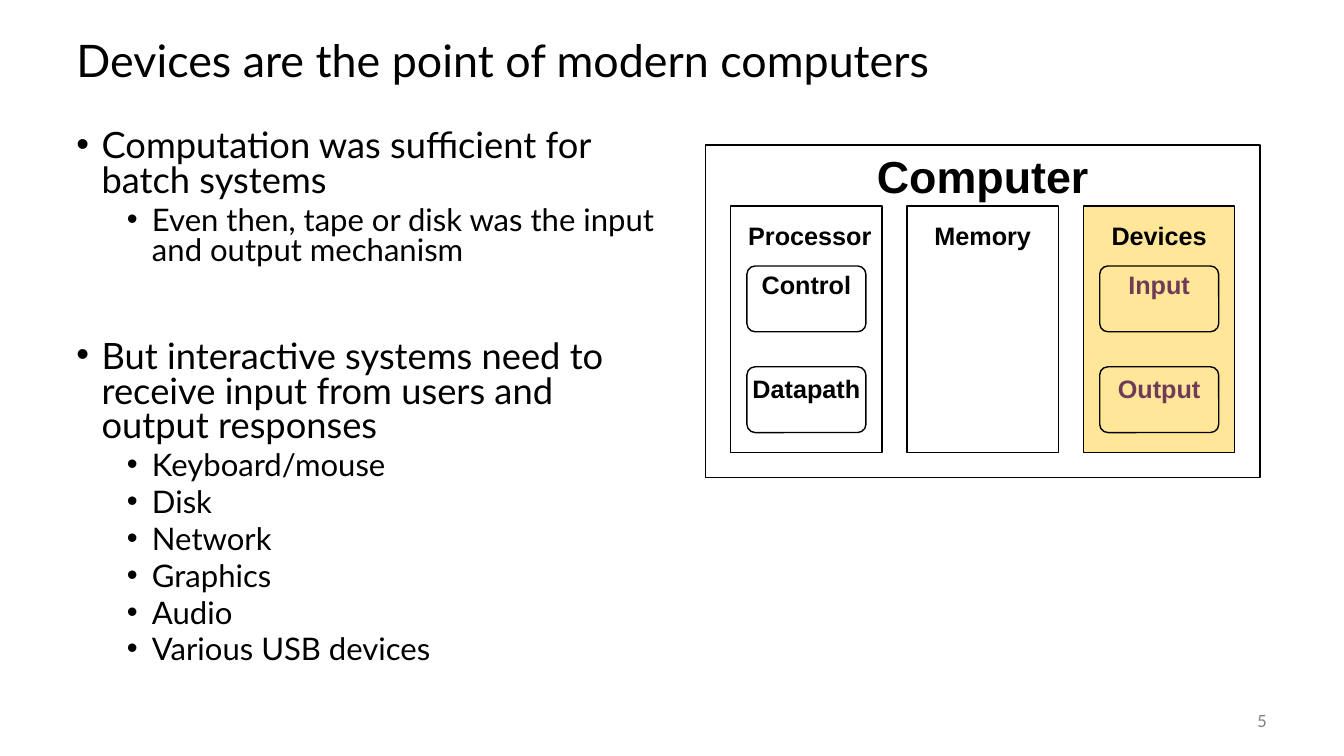
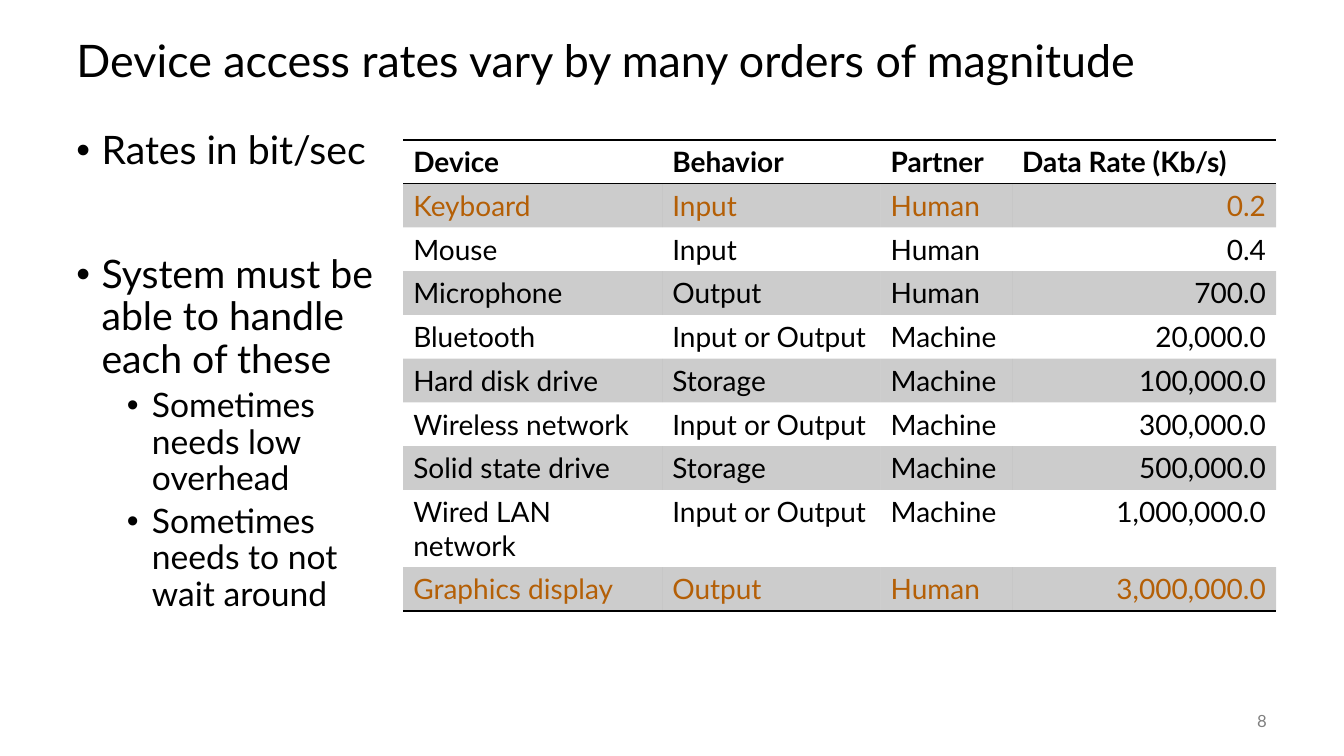
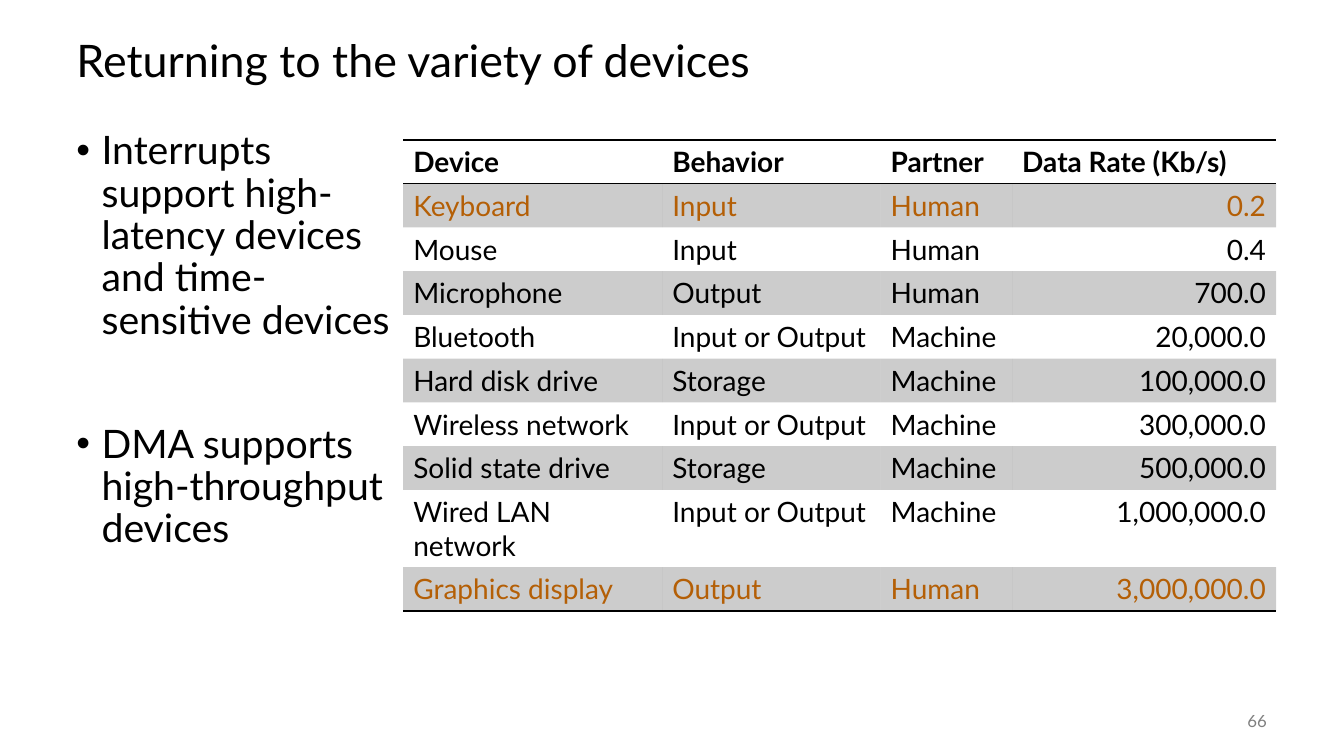
from dataclasses import dataclass
from lxml.etree import SubElement
from pptx import Presentation
from pptx.dml.color import RGBColor
from pptx.enum.shapes import MSO_SHAPE as Shape
from pptx.enum.text import MSO_ANCHOR as Anchor, PP_ALIGN as Align
from pptx.oxml import parse_xml
from pptx.oxml.ns import nsdecls, qn
from pptx.util import Pt


@dataclass(frozen=True)
class Theme:
    ink: str = "000000"
    muted: str = "808080"
    accent: str = "B45F06"
    plum: str = "703B56"
    paper: str = "FFFFFF"
    gold: str = "FFE699"
    font: str = "Lato"
    diagram_font: str = "Arial"
    title: float = 32
    bullets: tuple = (28, 24)
    small_bullets: tuple = (25.9, 22.2)
    table: float = 20
    label: float = 18
    number: float = 12


THEME = Theme()
NO_GRID_STYLE = "{2D5ABB26-0587-4C30-8999-92F81FD0307C}"
MARGIN = 47.5
BODY_TOP = 90
BODY_HEIGHT = 396

POINT = [
    (0, "Computation was sufficient for batch systems"),
    (1, "Even then, tape or disk was the input and output mechanism"),
    (0, "But interactive systems need to receive input from users and output responses"),
    (1, "Keyboard/mouse"),
    (1, "Disk"),
    (1, "Network"),
    (1, "Graphics"),
    (1, "Audio"),
    (1, "Various USB devices"),
]
RATES = [
    (0, "Rates in bit/sec"),
    (0, "System must be able to handle each of these"),
    (1, "Sometimes needs low overhead"),
    (1, "Sometimes needs to not wait around"),
]
VARIETY = [
    (0, "Interrupts support high-latency devices and time-sensitive devices"),
    (0, "DMA supports high-throughput devices"),
]
PANELS = [
    ("Processor", 2.5, None, THEME.paper, THEME.ink, ["Control", "Datapath"]),
    ("Memory", 0, None, None, THEME.ink, []),
    ("Devices", 0, THEME.gold, None, THEME.plum, ["Input", "Output"]),
]
DEVICES = [
    ("Device", "Behavior", "Partner", "Data Rate (Kb/s)"),
    ("Keyboard", "Input", "Human", "0.2"),
    ("Mouse", "Input", "Human", "0.4"),
    ("Microphone", "Output", "Human", "700.0"),
    ("Bluetooth", "Input or Output", "Machine", "20,000.0"),
    ("Hard disk drive", "Storage", "Machine", "100,000.0"),
    ("Wireless network", "Input or Output", "Machine", "300,000.0"),
    ("Solid state drive", "Storage", "Machine", "500,000.0"),
    ("Wired LAN network", "Input or Output", "Machine", "1,000,000.0"),
    ("Graphics display", "Output", "Human", "3,000,000.0"),
]
HIGHLIGHTS = {"Keyboard", "Graphics display"}
COLUMNS = (185, 156, 94, 188.5)
ROW_HEIGHT = 31.2


def points(*values):
    return [Pt(value) for value in values]


def write(para, text, size, color=THEME.ink, font=THEME.font, bold=False,
          align=Align.LEFT, spacing=None, before=0):
    para.alignment = align
    para.space_before = Pt(before)
    if spacing:
        para.line_spacing = spacing
    span = para.add_run()
    span.text = text
    span.font.name = font
    span.font.size = Pt(size)
    span.font.bold = bold
    span.font.color.rgb = RGBColor.from_string(color)


def add_frame(page, at, anchor=Anchor.TOP, inset=(7.2, 3.6)):
    frame = page.shapes.add_textbox(*points(*at)).text_frame
    frame.word_wrap = True
    frame.vertical_anchor = anchor
    frame.margin_left = frame.margin_right = Pt(inset[0])
    frame.margin_top = frame.margin_bottom = Pt(inset[1])
    return frame


def add_page(deck, title, number):
    page = deck.slides.add_slide(deck.slide_layouts[6])
    heading = add_frame(page, (MARGIN, 18, 864, 54), Anchor.MIDDLE)
    write(heading.paragraphs[0], title, THEME.title, spacing=0.9)
    footer = add_frame(page, (840, 500.5, 72, 29), Anchor.MIDDLE)
    write(footer.paragraphs[0], str(number), THEME.number, color=THEME.muted, align=Align.RIGHT)
    return page


def add_bullets(page, items, width, sizes, spacing):
    frame = add_frame(page, (MARGIN, BODY_TOP, width, BODY_HEIGHT))
    section_gap = round(2 * 14 + sizes[0] * 1.2 * spacing, 1)
    for index, (level, text) in enumerate(items):
        para = frame.add_paragraph() if index else frame.paragraphs[0]
        before = (section_gap, 5)[level] if index else 0
        para.level = level
        props = para._p.get_or_add_pPr()
        props.set("marL", str(Pt(18 + 36 * level)))
        props.set("indent", str(Pt(-18)))
        SubElement(props, qn("a:buFont")).set("typeface", "Arial")
        SubElement(props, qn("a:buChar")).set("char", "•")
        write(para, text, sizes[level], spacing=spacing, before=before)


def add_block(page, kind, at, fill=None):
    block = page.shapes.add_shape(kind, *points(*at))
    block.shadow.inherit = False
    block.line.color.rgb = RGBColor.from_string(THEME.ink)
    block.line.width = Pt(1)
    if fill:
        block.fill.solid()
        block.fill.fore_color.rgb = RGBColor.from_string(fill)
    else:
        block.fill.background()
    return block


def add_label(page, text, at, size=THEME.label, color=THEME.ink):
    frame = add_frame(page, at, inset=(5, 2.2))
    write(frame.paragraphs[0], text, size, color=color, font=THEME.diagram_font,
          bold=True, align=Align.CENTER, spacing=0.85)


def add_computer(page):
    left, top, width, height = 504, 103.7, 396, 237.6
    gap, panel_top, panel_height = 18, 147, 176.4
    panel_width = (width - gap * (len(PANELS) + 1)) / len(PANELS)
    unit_width, unit_height, unit_pitch = 85, 47, 72
    add_block(page, Shape.RECTANGLE, (left, top, width, height))
    add_label(page, "Computer", (left, 110, width, 37), size=THEME.title)
    for index, (name, shift, fill, unit_fill, color, units) in enumerate(PANELS):
        x = left + gap + index * (panel_width + gap)
        add_block(page, Shape.RECTANGLE, (x, panel_top, panel_width, panel_height), fill)
        add_label(page, name, (x + shift, 158.4, panel_width, 23))
        for row, unit in enumerate(units):
            y = 190 + row * unit_pitch
            unit_left = x + (panel_width - unit_width) / 2
            block = add_block(page, Shape.ROUNDED_RECTANGLE,
                              (unit_left, y, unit_width, unit_height), unit_fill)
            block.adjustments[0] = 0.125
            add_label(page, unit, (x, y + 3.7 + 2 * row, panel_width, 23), color=color)


def add_rules(cell, sides):
    props = cell._tc.get_or_add_tcPr()
    for position, side in enumerate(sides):
        props.insert(position, parse_xml(
            f'<a:ln{side} {nsdecls("a")} w="{Pt(1)}"><a:solidFill>'
            f'<a:srgbClr val="{THEME.ink}"/></a:solidFill></a:ln{side}>'))


def shade(cell, banded):
    if not banded:
        cell.fill.background()
        return
    cell.fill.solid()
    cell.fill.fore_color.rgb = RGBColor.from_string(THEME.ink)
    tint = next(cell._tc.iter(qn("a:solidFill")))[0]
    SubElement(tint, qn("a:alpha")).set("val", "20000")


def add_device_table(page):
    last = len(DEVICES) - 1
    at = points(288, 100, sum(COLUMNS), ROW_HEIGHT * len(DEVICES))
    holder = page.shapes.add_table(len(DEVICES), len(COLUMNS), *at)
    table = holder.table
    table.first_row = table.horz_banding = False
    next(holder.element.iter(qn("a:tableStyleId"))).text = NO_GRID_STYLE
    for column, width in zip(table.columns, COLUMNS):
        column.width = Pt(width)
    for row, values in enumerate(DEVICES):
        color = THEME.accent if values[0] in HIGHLIGHTS else THEME.ink
        for column, value in enumerate(values):
            cell = table.cell(row, column)
            is_rate = row > 0 and column == len(COLUMNS) - 1
            shade(cell, row % 2 == 1)
            add_rules(cell, {0: "TB", last: "B"}.get(row, ""))
            write(cell.text_frame.paragraphs[0], value, THEME.table, color=color,
                  bold=row == 0, align=Align.RIGHT if is_rate else Align.LEFT)


def main():
    deck = Presentation()
    deck.slide_width, deck.slide_height = points(960, 540)

    page = add_page(deck, "Devices are the point of modern computers", 5)
    add_bullets(page, POINT, 432, THEME.small_bullets, 0.8)
    add_computer(page)

    for title, number, items in [
        ("Device access rates vary by many orders of magnitude", 8, RATES),
        ("Returning to the variety of devices", 66, VARIETY),
    ]:
        page = add_page(deck, title, number)
        add_bullets(page, items, 240.5, THEME.bullets, 0.9)
        add_device_table(page)

    deck.save("out.pptx")


if __name__ == "__main__":
    main()
